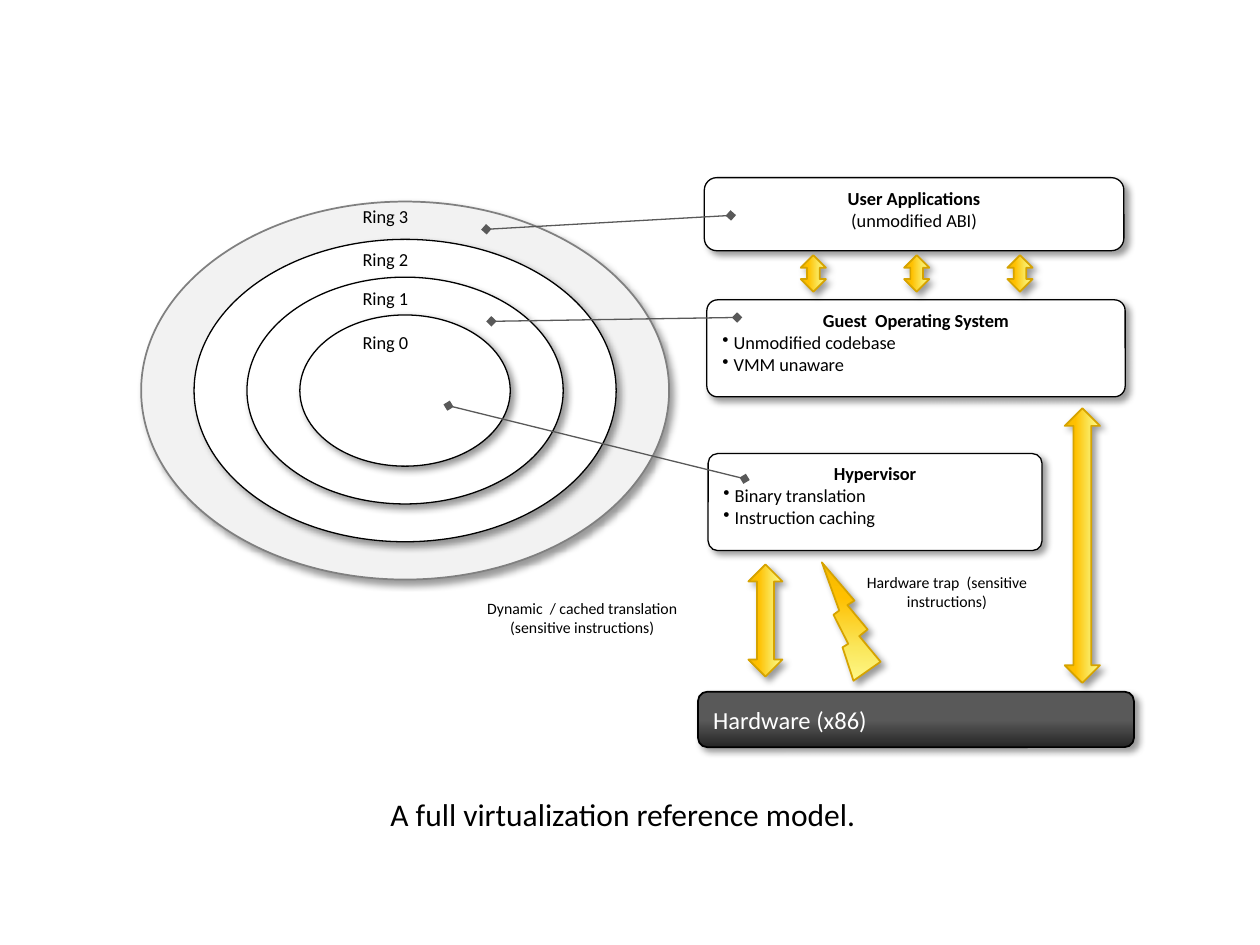
from dataclasses import dataclass

import lxml.etree
import pptx
import pptx.dml.color
import pptx.enum.shapes
import pptx.enum.text
import pptx.oxml.ns
import pptx.util

SHAPE = pptx.enum.shapes.MSO_SHAPE
ALIGN = pptx.enum.text.PP_ALIGN
ANCHOR = pptx.enum.text.MSO_ANCHOR
COLUMNS, ROWS = 100, 75
CELL = pptx.util.Inches(0.1)


@dataclass(frozen=True)
class Theme:
    font: str = "Calibri"
    black: str = "000000"
    white: str = "FFFFFF"
    outer_ring: str = "F2F2F2"
    outer_edge: str = "808080"
    pointer: str = "595959"
    gold_edge: str = "D6A300"
    gold: tuple = ((0, "FFFA8F"), (30, "FAE75C"), (70, "FFC000"), (100, "F2B800"))
    steel: tuple = ((50, "595959"), (100, "262626"))
    note_size: float = 9
    body_size: float = 10.5
    hardware_size: float = 14
    caption_size: float = 18
    thin: float = 0.75
    thick: float = 1


THEME = Theme()


def grid(*cells):
    return [round(value * CELL) for value in cells]


def rgb(value):
    return pptx.dml.color.RGBColor.from_string(value)


def add_element(parent, tag, **attributes):
    element = lxml.etree.SubElement(parent, pptx.oxml.ns.qn(tag))
    for name, value in attributes.items():
        element.set(name, str(value))
    return element


def set_gradient(shape, stops):
    """Fill from top to bottom with (percent, colour) stops."""
    shape.fill.gradient()
    shape.fill.gradient_angle = 270
    stop_list = shape._element.spPr.find(".//" + pptx.oxml.ns.qn("a:gsLst"))
    for stop in list(stop_list):
        stop_list.remove(stop)
    for percent, color in stops:
        stop = add_element(stop_list, "a:gs", pos=percent * 1000)
        add_element(stop, "a:srgbClr", val=color)


def add_shadow(shape):
    shape.shadow.inherit = False
    effects = shape._element.spPr.find(pptx.oxml.ns.qn("a:effectLst"))
    shadow = add_element(effects, "a:outerShdw", blurRad=pptx.util.Pt(4), dist=pptx.util.Pt(3),
                         dir=45 * 60000, algn="tl", rotWithShape=0)
    color = add_element(shadow, "a:srgbClr", val=THEME.black)
    add_element(color, "a:alpha", val=40000)


def add_figure(slide, kind, box, fill, edge=THEME.black, width=THEME.thin):
    """Add a shadowed preset; fill is a colour or a tuple of gradient stops."""
    shape = slide.shapes.add_shape(kind, *grid(*box))
    if isinstance(fill, str):
        shape.fill.solid()
        shape.fill.fore_color.rgb = rgb(fill)
    else:
        set_gradient(shape, fill)
    shape.line.color.rgb = rgb(edge)
    shape.line.width = pptx.util.Pt(width)
    add_shadow(shape)
    return shape


def add_bullet(paragraph):
    properties = paragraph._p.get_or_add_pPr()
    indent = pptx.util.Inches(0.09)
    properties.set("marL", str(indent))
    properties.set("indent", str(-indent))
    add_element(properties, "a:buChar", char="•")


def write_line(paragraph, text, size, align=ALIGN.LEFT, color=THEME.black, bold=False):
    paragraph.text = text
    paragraph.alignment = align
    paragraph.font.name = THEME.font
    paragraph.font.size = pptx.util.Pt(size)
    paragraph.font.bold = bold
    paragraph.font.color.rgb = rgb(color)


def add_label(slide, box, lines, size, align=ALIGN.LEFT):
    frame = slide.shapes.add_textbox(*grid(*box)).text_frame
    frame.word_wrap = True
    for index, text in enumerate(lines):
        paragraph = frame.add_paragraph() if index else frame.paragraphs[0]
        write_line(paragraph, text, size, align)


def add_layer(slide, box, corner, heading, subtitle=None, bullets=()):
    """Add a rounded software layer with a bold heading and details."""
    shape = add_figure(slide, SHAPE.ROUNDED_RECTANGLE, box, THEME.white)
    shape.adjustments[0] = corner
    frame = shape.text_frame
    frame.vertical_anchor = ANCHOR.TOP
    write_line(frame.paragraphs[0], heading, THEME.body_size, ALIGN.CENTER, bold=True)
    if subtitle:
        write_line(frame.add_paragraph(), subtitle, THEME.body_size, ALIGN.CENTER)
    for text in bullets:
        paragraph = frame.add_paragraph()
        add_bullet(paragraph)
        write_line(paragraph, text, THEME.body_size)


def add_rings(slide):
    for step in range(4):
        box = (11.2 + 4.2 * step, 16 + 3 * step, 41.9 - 8.4 * step, 30 - 6 * step)
        if step == 0:
            add_figure(slide, SHAPE.OVAL, box, THEME.outer_ring, THEME.outer_edge, THEME.thick)
        else:
            add_figure(slide, SHAPE.OVAL, box, THEME.white)
    for number, top in zip((3, 2, 1, 0), (15.8, 19.2, 22.3, 25.8)):
        add_label(slide, (27.8, top, 8.7, 3.2), [f"Ring {number}"], THEME.body_size)


def add_pointer(slide, start, end):
    connector = slide.shapes.add_connector(
        pptx.enum.shapes.MSO_CONNECTOR.STRAIGHT, *grid(*start, *end))
    connector.line.color.rgb = rgb(THEME.pointer)
    connector.line.width = pptx.util.Pt(THEME.thin)
    properties = connector._element.spPr
    line = properties.find(pptx.oxml.ns.qn("a:ln"))
    for tag in ("a:headEnd", "a:tailEnd"):
        add_element(line, tag, type="diamond")
    add_element(properties, "a:effectLst")


def add_vertical_arrow(slide, center, length, thickness):
    """Turn a horizontal arrow upright so that its gradient runs sideways."""
    box = (center[0] - length / 2, center[1] - thickness / 2, length, thickness)
    arrow = add_figure(slide, SHAPE.LEFT_RIGHT_ARROW, box, THEME.gold,
                       THEME.gold_edge, THEME.thick)
    arrow.rotation = 270
    arrow._element.spPr.find(pptx.oxml.ns.qn("a:xfrm")).set("flipV", "1")


def add_hardware(slide):
    shape = add_figure(slide, SHAPE.ROUNDED_RECTANGLE, (55.4, 54.9, 34.6, 4.4),
                       THEME.steel, width=THEME.thick)
    shape.text_frame.vertical_anchor = ANCHOR.MIDDLE
    write_line(shape.text_frame.paragraphs[0], "Hardware (x86)",
               THEME.hardware_size, color=THEME.white)


def main():
    presentation = pptx.Presentation()
    presentation.slide_width, presentation.slide_height = grid(COLUMNS, ROWS)
    slide = presentation.slides.add_slide(presentation.slide_layouts[6])

    add_layer(slide, (56.2, 36, 26.5, 7.7), 0.1, "Hypervisor",
              bullets=("Binary translation", "Instruction caching"))
    add_layer(slide, (56.1, 23.8, 33.2, 7.7), 0.11, "Guest  Operating System",
              bullets=("Unmodified codebase", "VMM unaware"))
    add_layer(slide, (55.9, 14.1, 33.3, 5.8), 0.17, "User Applications", "(unmodified ABI)")
    add_rings(slide)
    add_pointer(slide, (38.6, 18.2), (58, 17.1))
    add_pointer(slide, (39, 25.5), (58.5, 25.2))
    add_pointer(slide, (35.6, 32.2), (59.1, 38))

    for step in range(3):
        add_vertical_arrow(slide, (64.55 + 8.2 * step, 21.7), 2.9, 2)
    add_vertical_arrow(slide, (85.9, 43.3), 21.8, 2.8)
    add_vertical_arrow(slide, (60.75, 49.25), 8.9, 2.7)
    bolt = add_figure(slide, SHAPE.LIGHTNING_BOLT, (64.9, 44.8, 5.2, 9.2), THEME.gold,
                      THEME.gold_edge, THEME.thick)
    bolt.rotation = 184
    add_hardware(slide)

    add_label(slide, (67.1, 45, 16.1, 6.4), ["Hardware trap  (sensitive instructions)"],
              THEME.note_size, ALIGN.CENTER)
    add_label(slide, (30.7, 47, 31, 4.6),
              ["Dynamic  / cached translation", "(sensitive instructions)"],
              THEME.note_size, ALIGN.CENTER)
    add_label(slide, (30, 62.6, 40, 4), ["A full virtualization reference model."],
              THEME.caption_size)
    presentation.save("out.pptx")


if __name__ == "__main__":
    main()
